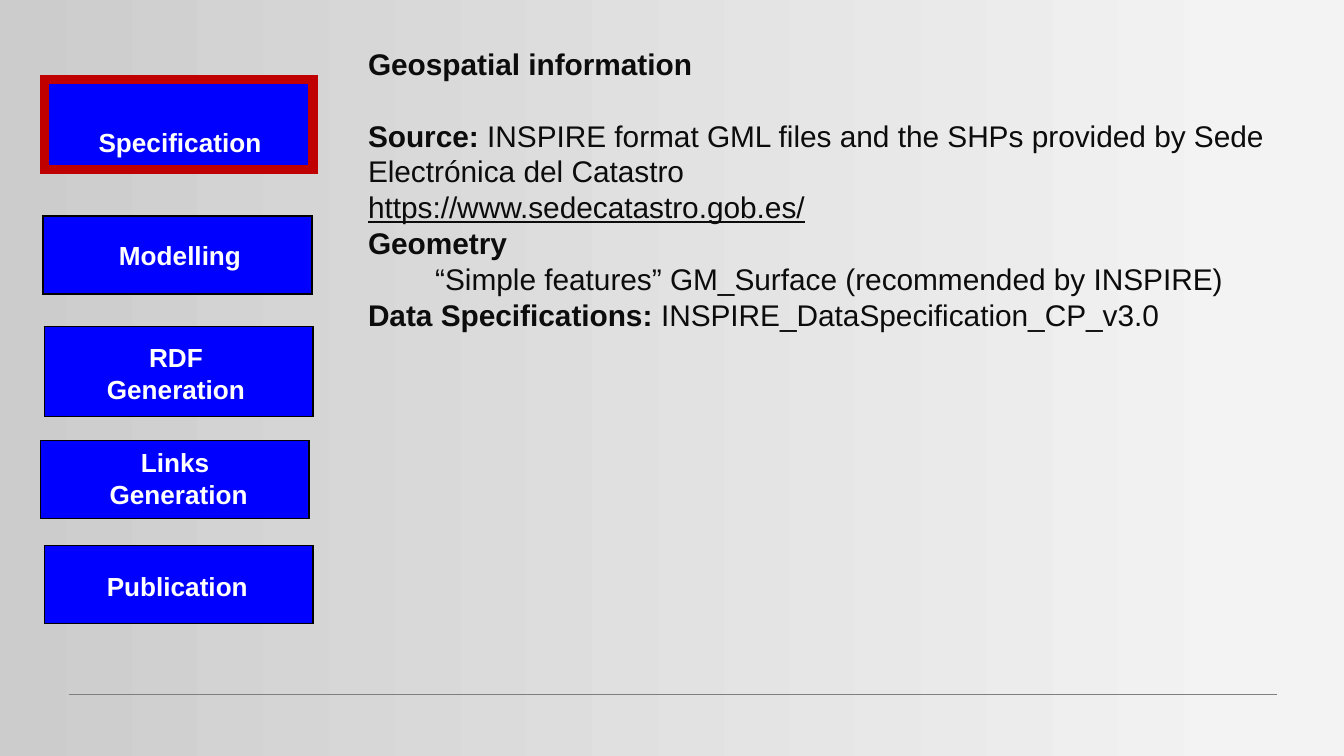
from dataclasses import dataclass

from lxml import etree
from pptx import Presentation
from pptx import util as u
from pptx.dml import color
from pptx.enum import shapes, text
from pptx.oxml import ns


@dataclass(frozen=True)
class Theme:
    font: str = "Arial"
    ink: str = "0C0C0C"
    white: str = "FFFFFF"
    blue: str = "0000FF"
    black: str = "000000"
    red: str = "C00000"
    rule: str = "7F7F7F"
    light: str = "F3F3F3"
    dark: str = "CCCCCC"
    body: float = 16
    label: float = 14
    body_lead: float = 19.2
    label_lead: float = 17.1


THEME = Theme()


def rgb(code):
    return color.RGBColor.from_string(code)


def write(slide, box, lines, size, ink, lead, align=None, wrap=True):
    frame = slide.shapes.add_textbox(*map(u.Inches, box)).text_frame
    frame.word_wrap = wrap
    for i, (runs, look) in enumerate(lines):
        para = frame.paragraphs[0] if i == 0 else frame.add_paragraph()
        para.alignment = align
        para.line_spacing = u.Pt(lead)
        para.space_after = u.Pt(look.get("after", 0))
        if "indent" in look:
            para.level = 1
            props = para._p.get_or_add_pPr()
            props.set("marL", str(u.Inches(look["indent"])))
            props.set("indent", "0")
        for words, bold in runs:
            run = para.add_run()
            run.text = words
            font = run.font
            font.name, font.size, font.bold = THEME.font, u.Pt(size), bold
            font.underline = look.get("under")
            font.color.rgb = rgb(ink)


def backdrop(slide):
    fill = slide.background.fill
    fill.gradient()
    fill.gradient_angle = 180
    ends = ((0.07, THEME.light), (1, THEME.dark))
    for stop, (place, code) in zip(fill.gradient_stops, ends):
        stop.position = place
        stop.color.rgb = rgb(code)


def footer(slide, box):
    left, top, width = box
    rule = slide.shapes.add_connector(
        shapes.MSO_CONNECTOR.STRAIGHT,
        *map(u.Inches, (left, top, left + width, top)))
    rule.line.color.rgb = rgb(THEME.rule)
    rule.line.width = u.Pt(0.75)
    etree.SubElement(rule._element.spPr, ns.qn("a:effectLst"))


def details(slide, box):
    lines = [
        ([("Geospatial information", True)], {"after": THEME.body_lead}),
        ([("Source:", True),
          (" INSPIRE format GML files and the SHPs provided by "
           "Sede Electrónica del Catastro", False)], {}),
        ([("https://www.sedecatastro.gob.es/", False)], {"under": True}),
        ([("Geometry", True)], {}),
        ([("“Simple features” GM_Surface (recommended by INSPIRE)", False)],
         {"indent": 0.5}),
        ([("Data Specifications:", True),
          (" INSPIRE_DataSpecification_CP_v3.0", False)], {}),
    ]
    write(slide, box, lines, THEME.body, THEME.ink, THEME.body_lead)


def stage(slide, box, words, shift, edge=THEME.black, weight=0.75):
    left, top, width, height = box
    block = slide.shapes.add_shape(
        shapes.MSO_SHAPE.RECTANGLE, *map(u.Inches, box))
    block.shadow.inherit = False
    block.fill.solid()
    block.fill.fore_color.rgb = rgb(THEME.blue)
    block.line.color.rgb = rgb(edge)
    block.line.width = u.Pt(weight)
    stroke = block._element.spPr.find(ns.qn("a:ln"))
    etree.SubElement(stroke, ns.qn("a:miter"), lim="800000")
    right, down = shift
    tall = 0.36 if len(words) == 1 else 0.62
    write(slide, (left + right, top + down, width, tall),
          [([(word, True)], {}) for word in words],
          THEME.label, THEME.white, THEME.label_lead,
          align=text.PP_ALIGN.CENTER)


def steps(slide, box):
    left, top, width = box
    stages = [
        (0.03, 0, 0.67, ["Specification"], (0.01, 0.3), THEME.red, 5),
        (0.02, 1.02, 0.58, ["Modelling"], (0.02, 0.12), THEME.black, 1),
        (0.03, 1.84, 0.67, ["RDF", "Generation"], (-0.02, 0.06)),
        (0, 2.69, 0.58, ["Links ", "Generation"], (0.03, -0.01)),
        (0.03, 3.47, 0.58, ["Publication"], (-0.01, 0.13)),
    ]
    for right, down, tall, *rest in stages:
        stage(slide, (left + right, top + down, width, tall), *rest)


def main():
    deck = Presentation()
    deck.slide_width, deck.slide_height = u.Inches(10), u.Inches(10 * 9 / 16)
    slide = deck.slides.add_slide(deck.slide_layouts[6])
    backdrop(slide)
    footer(slide, (0.51, 5.17, 8.99))
    details(slide, (2.64, 0.29, 7.17, 3.39))
    steps(slide, (0.3, 0.59, 2))
    deck.save("out.pptx")


if __name__ == "__main__":
    main()
